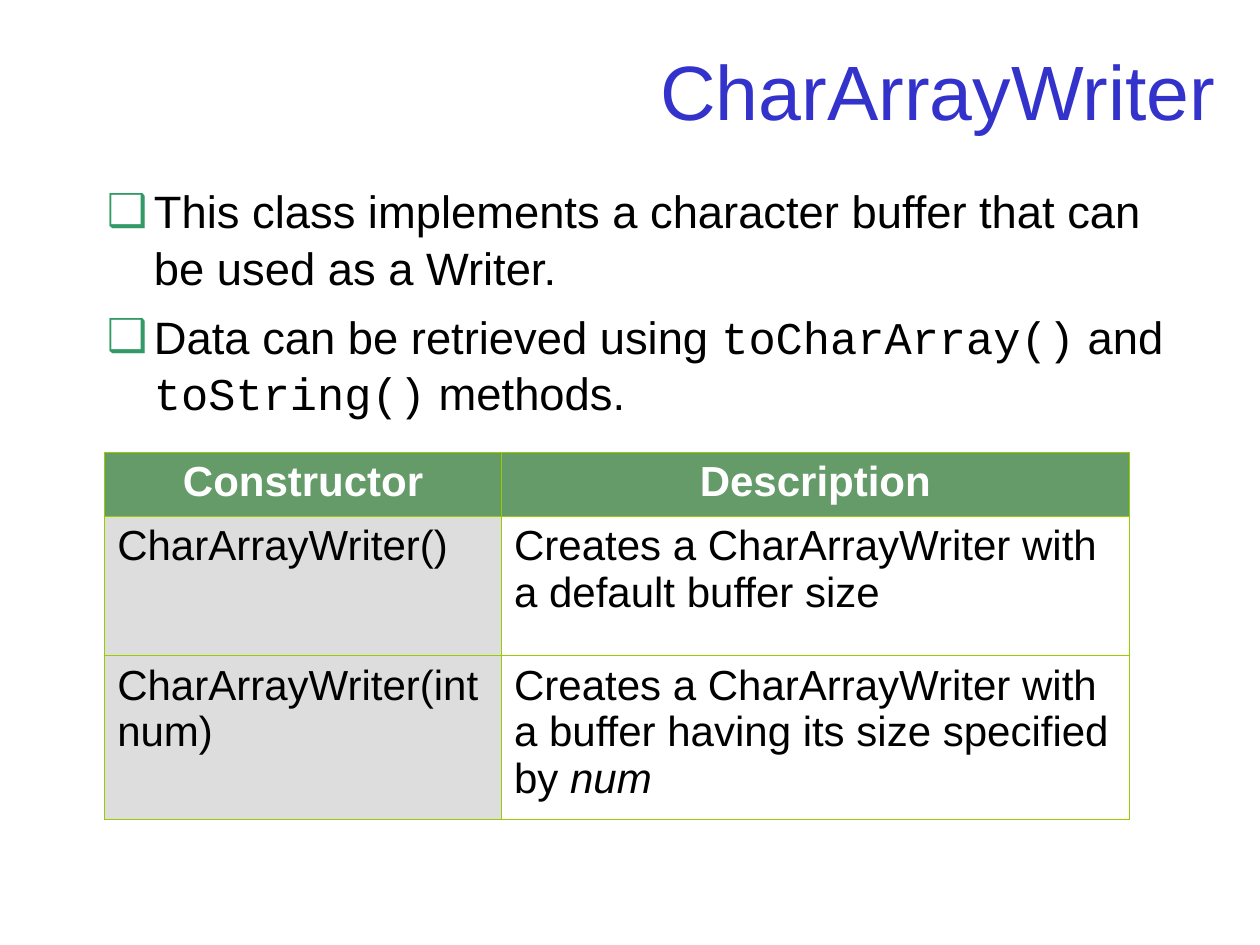
import dataclasses
import typing

import lxml.etree
import pptx
import pptx.dml.color
import pptx.enum.text
import pptx.oxml.ns
import pptx.util

Cm = pptx.util.Cm
Pt = pptx.util.Pt
ALIGN = pptx.enum.text.PP_ALIGN
ANCHOR = pptx.enum.text.MSO_ANCHOR
qn = pptx.oxml.ns.qn

COLORS = {
    "title": "3333CC",
    "text": "000000",
    "bullet": "339966",
    "header": "659B68",
    "header_text": "FFFFFF",
    "constructor": "DDDDDD",
    "description": "FFFFFF",
    "border": "99CC00",
}
SANS = "Arial"
MONO = "Courier New"


@dataclasses.dataclass
class TextPart:
    text: str
    font: str = SANS
    bold: bool = False
    italic: bool = False


@dataclasses.dataclass
class ConstructorRow:
    height: float
    constructor: list[TextPart]
    description: list[TextPart]
    is_header: bool = False


BULLETS = [
    [TextPart("This class implements a character buffer that can be used as a Writer.")],
    [
        TextPart("Data can be retrieved using "),
        TextPart("toCharArray()", MONO),
        TextPart(" and "),
        TextPart("toString()", MONO),
        TextPart(" methods."),
    ],
]
ROWS = [
    ConstructorRow(
        1.28,
        [TextPart("Constructor", bold=True)],
        [TextPart("Description", bold=True)],
        is_header=True,
    ),
    ConstructorRow(
        2.82,
        [TextPart("CharArrayWriter()")],
        [TextPart("Creates a CharArrayWriter with a default buffer size")],
    ),
    ConstructorRow(
        3.3,
        [TextPart("CharArrayWriter(int num)")],
        [
            TextPart("Creates a CharArrayWriter with a buffer having its size specified by "),
            TextPart("num", italic=True),
        ],
    ),
]
COLUMN_WIDTHS = [8.0, 12.65]


def rgb(name: str) -> pptx.dml.color.RGBColor:
    return pptx.dml.color.RGBColor.from_string(COLORS[name])


def add_runs(paragraph: typing.Any, parts: list[TextPart], size: float, color: str) -> None:
    for part in parts:
        run = paragraph.add_run()
        run.text = part.text
        run.font.name = part.font
        run.font.size = Pt(size)
        run.font.bold = part.bold
        run.font.italic = part.italic
        run.font.color.rgb = rgb(color)


def place(shape: typing.Any, left: float, top: float, width: float, height: float) -> None:
    shape.left, shape.top, shape.width, shape.height = Cm(left), Cm(top), Cm(width), Cm(height)
    shape.text_frame.auto_size = pptx.enum.text.MSO_AUTO_SIZE.NONE
    shape.text_frame.word_wrap = True


def set_bullet(paragraph: typing.Any) -> None:
    properties = paragraph._p.get_or_add_pPr()
    properties.set("marL", str(Cm(0.95)))
    properties.set("indent", str(-Cm(0.95)))
    color = lxml.etree.SubElement(properties, qn("a:buClr"))
    lxml.etree.SubElement(color, qn("a:srgbClr"), val=COLORS["bullet"])
    lxml.etree.SubElement(properties, qn("a:buFont"), typeface=SANS)
    lxml.etree.SubElement(properties, qn("a:buChar"), char="❑")


def set_borders(cell: typing.Any) -> None:
    properties = cell._tc.get_or_add_tcPr()
    for side in ("lnL", "lnR", "lnT", "lnB"):
        line = lxml.etree.SubElement(properties, qn(f"a:{side}"), w=str(Pt(0.45)))
        fill = lxml.etree.SubElement(line, qn("a:solidFill"))
        lxml.etree.SubElement(fill, qn("a:srgbClr"), val=COLORS["border"])


def fill_cell(cell: typing.Any, parts: list[TextPart], fill: str, is_header: bool) -> None:
    set_borders(cell)
    cell.fill.solid()
    cell.fill.fore_color.rgb = rgb("header" if is_header else fill)
    cell.vertical_anchor = ANCHOR.TOP
    paragraph = cell.text_frame.paragraphs[0]
    paragraph.alignment = ALIGN.CENTER if is_header else ALIGN.LEFT
    add_runs(paragraph, parts, 24, "header_text" if is_header else "text")


def add_title(slide: typing.Any) -> None:
    title = slide.shapes.title
    place(title, 1.9, 0.71, 22.86, 2.21)
    title.text_frame.vertical_anchor = ANCHOR.MIDDLE
    paragraph = title.text_frame.paragraphs[0]
    paragraph.alignment = ALIGN.RIGHT
    add_runs(paragraph, [TextPart("CharArrayWriter")], 44, "title")


def add_bullets(slide: typing.Any) -> None:
    body = slide.placeholders[1]
    place(body, 1.9, 3.53, 22, 5)
    frame = body.text_frame
    for index, parts in enumerate(BULLETS):
        paragraph = frame.add_paragraph() if index else frame.paragraphs[0]
        set_bullet(paragraph)
        paragraph.space_before = Pt(7 if index else 0)
        paragraph.line_spacing = 1.04
        add_runs(paragraph, parts, 25.9, "text")


def add_constructor_table(slide: typing.Any) -> None:
    height = sum(row.height for row in ROWS)
    table = slide.shapes.add_table(
        len(ROWS), len(COLUMN_WIDTHS), Cm(2.11), Cm(9.12), Cm(sum(COLUMN_WIDTHS)), Cm(height)
    ).table
    table.first_row = False
    table.horz_banding = False
    for column, width in zip(table.columns, COLUMN_WIDTHS):
        column.width = Cm(width)
    for index, row in enumerate(ROWS):
        table.rows[index].height = Cm(row.height)
        fill_cell(table.cell(index, 0), row.constructor, "constructor", row.is_header)
        fill_cell(table.cell(index, 1), row.description, "description", row.is_header)


def main() -> None:
    presentation = pptx.Presentation()
    presentation.slide_width = Cm(25.4)
    presentation.slide_height = Cm(19.05)
    slide = presentation.slides.add_slide(presentation.slide_layouts[1])
    add_title(slide)
    add_bullets(slide)
    add_constructor_table(slide)
    presentation.save("out.pptx")


if __name__ == "__main__":
    main()
